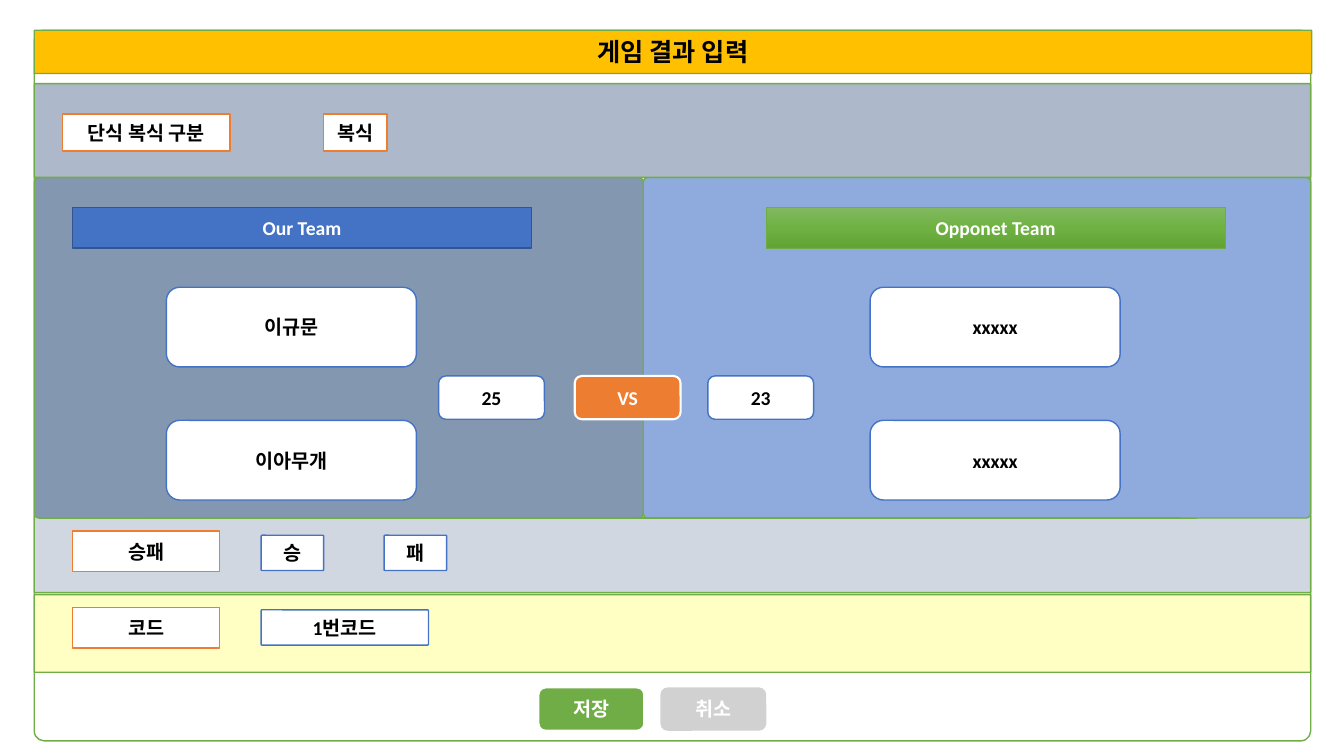
from copy import deepcopy
from dataclasses import dataclass

from lxml.etree import SubElement
from pptx import Presentation
from pptx.dml.color import RGBColor
from pptx.enum.shapes import MSO_CONNECTOR, MSO_SHAPE
from pptx.enum.text import MSO_ANCHOR, PP_ALIGN
from pptx.oxml.ns import qn
from pptx.util import Inches, Pt


@dataclass(frozen=True)
class Theme:
    white: str = "FFFFFF"
    black: str = "000000"
    green: str = "70AD47"
    blue: str = "4472C4"
    navy: str = "325491"
    orange: str = "ED7D31"
    gold: str = "FFC000"
    yellow: str = "FFFF00"
    gray: str = "A5A5A5"
    mist: str = "ADB9CA"
    slate: str = "8497B0"
    sky: str = "8FAADC"
    green_fade: tuple = ("81B861", "6FB242", "62A336")
    body_size: int = 14
    title_size: int = 18
    body_font: str = "Calibri"
    korean_font: str = "Noto Sans CJK KR"


theme = Theme()

# Content
title = "게임 결과 입력"
teams = [("Our Team", ["이규문", "이아무개"]), ("Opponet Team", ["xxxxx", "xxxxx"])]
scores = ["25", "VS", "23"]
match_type = ("단식 복식 구분", "복식")
result = ("승패", ["승", "패"])
code = ("코드", "1번코드")
buttons = ["저장", "취소"]

# Layout in inches
left, top, width, height = 0.34, 0.3, 12.66, 7.05
middle = 6.38
teams_top, teams_height = 1.76, 3.38
teams_bottom = teams_top + teams_height
row_top, row_step, row_height = 5.11, 0.79, 0.77
player_top, player_step = 2.85, 1.32
score_lefts = [4.35, 5.7, 7.02]
button_size = (1.05, 0.43)
soft, slight, square = 0.014, 0.028, 0
round_corner = 0.16667

deck = Presentation()
deck.slide_width, deck.slide_height = Inches(13.33), Inches(7.5)
page = deck.slides.add_slide(deck.slide_layouts[6])


def color(value):
    return RGBColor.from_string(value)


def fade(shape, colors):
    """Fill from top to bottom with evenly spaced colors."""
    shape.fill.gradient()
    shape.fill.gradient_angle = 270
    stop_list = next(shape._element.spPr.iter(qn("a:gsLst")))
    stop_list.append(deepcopy(stop_list[0]))
    for index, (stop, value) in enumerate(zip(shape.fill.gradient_stops, colors)):
        stop.color.rgb = color(value)
        stop.position = index / (len(colors) - 1)


def add_box(place, fill, line, corner=round_corner, text=None, ink=theme.black,
            line_width=1, alpha=None, size=theme.body_size, font=theme.body_font):
    box = page.shapes.add_shape(MSO_SHAPE.ROUNDED_RECTANGLE, *map(Inches, place))
    box.shadow.inherit = False
    box.adjustments[0] = corner
    if fill is None:
        box.fill.background()
    elif isinstance(fill, tuple):
        fade(box, fill)
    else:
        box.fill.solid()
        box.fill.fore_color.rgb = color(fill)
    if alpha is not None:
        tint = next(box._element.spPr.iter(qn("a:srgbClr")))
        SubElement(tint, qn("a:alpha")).set("val", str(alpha * 1000))
    if line is None:
        box.line.fill.background()
    else:
        box.line.color.rgb = color(line)
        box.line.width = Pt(line_width)
    if text:
        frame = box.text_frame
        frame.word_wrap = True
        frame.vertical_anchor = MSO_ANCHOR.MIDDLE
        para = frame.paragraphs[0]
        para.alignment = PP_ALIGN.CENTER
        span = para.add_run()
        span.text = text
        span.font.name, span.font.size, span.font.bold = font, Pt(size), True
        span.font.color.rgb = color(ink)
        east_asian = SubElement(span.font._element, qn("a:ea"))
        east_asian.set("typeface", theme.korean_font)
    return box


# Background bands
bands = [
    ((left, row_top + row_step, width, row_height), theme.yellow, 23),
    ((left, row_top, width, row_height), theme.mist, 56),
    ((middle, teams_top, left + width - middle, teams_height), theme.sky, None),
    ((left, teams_top, middle - left, teams_height), theme.slate, None),
    ((left, 0.83, width, 0.93), theme.mist, None),
]
for place, fill, alpha in bands:
    add_box(place, fill, theme.green, soft, alpha=alpha)

# Teams: header and player cards
team_looks = [
    (0.72, 1.65, theme.blue, theme.navy, 1),
    (7.6, 8.63, theme.green_fade, theme.green, 0.5),
]
for (team, players), look in zip(teams, team_looks):
    header_left, card_left, fill, line, line_width = look
    add_box((header_left, 2.06, 4.55, 0.4), fill, line, square, team,
            theme.white, line_width)
    for index, player in enumerate(players):
        card = (card_left, player_top + index * player_step, 2.48, 0.79)
        add_box(card, theme.white, theme.blue, text=player)

# Scores on both sides of VS
for score_left, score in zip(score_lefts, scores):
    place = (score_left, 3.73, *button_size)
    if score == "VS":
        add_box(place, theme.orange, theme.white, text=score, ink=theme.white,
                line_width=1.5)
    else:
        add_box(place, theme.white, theme.blue, text=score)

# Line under the teams
divider = page.shapes.add_connector(
    MSO_CONNECTOR.STRAIGHT, Inches(1.45), Inches(teams_bottom),
    Inches(11.7), Inches(teams_bottom))
divider.line.color.rgb = color(theme.green)
divider.line.width = Pt(1.5)
SubElement(divider._element.spPr, qn("a:effectLst"))

# Labels and their fields
labels = [
    ((0.62, 1.13, 1.66, 0.37), match_type[0]),
    ((3.21, 1.13, 0.63, 0.37), match_type[1]),
    ((0.72, 5.27, 1.46, 0.4), result[0]),
    ((0.72, 6.03, 1.46, 0.4), code[0]),
]
for place, text in labels:
    add_box(place, theme.white, theme.orange, square, text)

fields = [((2.59 + index * 1.22, 5.31, 0.62, 0.35), text)
          for index, text in enumerate(result[1])]
fields.append(((2.59, 6.05, 1.66, 0.35), code[1]))
for place, text in fields:
    add_box(place, theme.white, theme.blue, slight, text)

# Outer frame, buttons and title bar
add_box((left, top, width, height), None, theme.green, soft)
button_looks = [(theme.green, theme.white, None), (theme.gray, None, 50)]
for index, (text, (fill, line, alpha)) in enumerate(zip(buttons, button_looks)):
    add_box((5.34 + index * 1.21, 6.82, *button_size), fill, line, text=text,
            ink=theme.white, line_width=1.5, alpha=alpha)
add_box((left, top, width + 0.01, 0.43), theme.gold, theme.green, soft, title,
        size=theme.title_size, font=theme.korean_font)

deck.save("out.pptx")
